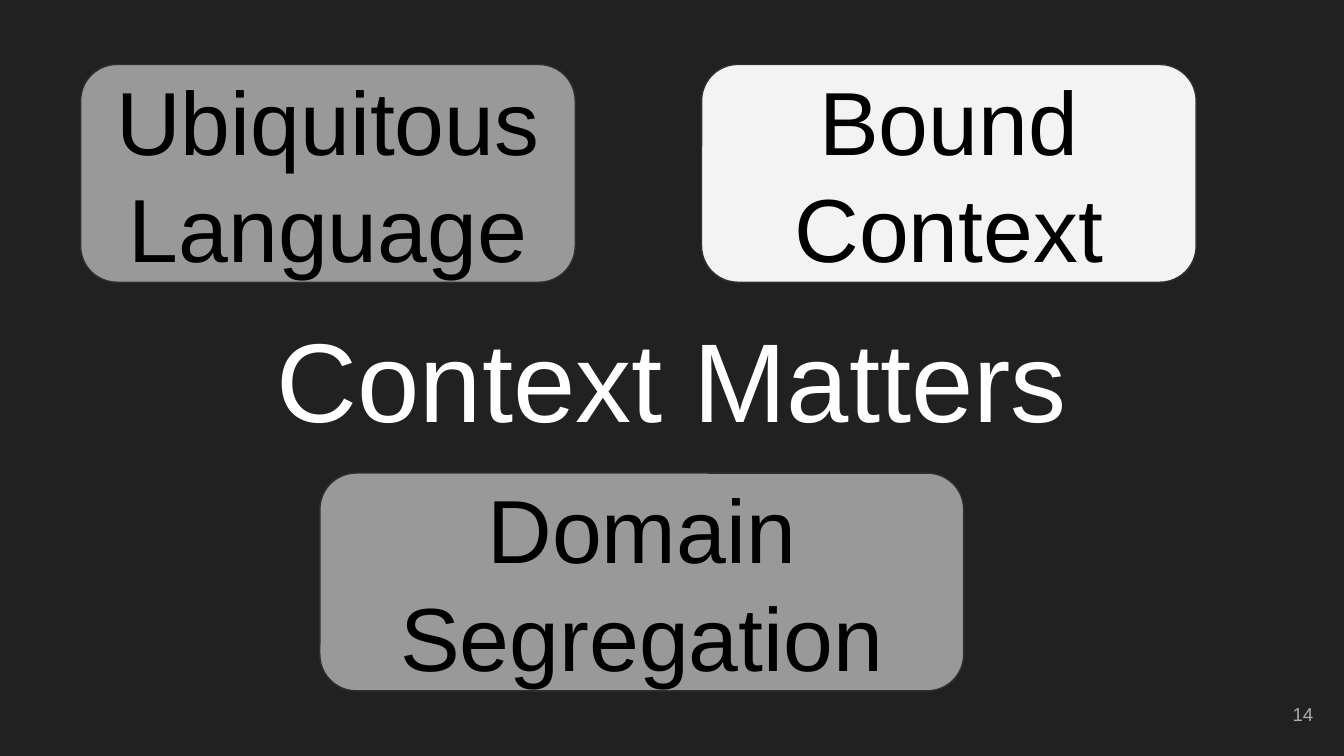
from dataclasses import dataclass

from pptx import Presentation
from pptx.dml.color import RGBColor
from pptx.enum.shapes import MSO_SHAPE as Shape
from pptx.enum.text import MSO_ANCHOR as Anchor, PP_ALIGN as Align
from pptx.util import Pt


@dataclass(frozen=True)
class Theme:
    font: str = "Arial"
    background: str = "212121"
    title_color: str = "FFFFFF"
    card_text: str = "000000"
    card_line: str = "303030"
    muted: str = "999999"
    highlight: str = "F3F3F3"
    number_color: str = "ADADAD"
    title_size: int = 60
    card_size: int = 48
    number_size: int = 10
    inset: float = 7.2


THEME = Theme()
CARD_HEIGHT = 116.64
TOP_ROW = 34.56


def rgb(value):
    return RGBColor.from_string(value)


def write_text(shape, text, size, color, align=Align.CENTER):
    frame = shape.text_frame
    frame.word_wrap = True
    frame.vertical_anchor = Anchor.MIDDLE
    frame.margin_left = frame.margin_right = Pt(THEME.inset)
    frame.margin_top = frame.margin_bottom = Pt(THEME.inset)
    paragraph = frame.paragraphs[0]
    paragraph.alignment = align
    run = paragraph.add_run()
    run.text = text
    run.font.name = THEME.font
    run.font.size = Pt(size)
    run.font.color.rgb = rgb(color)


def set_title(slide, text):
    title = slide.shapes.title
    title.left, title.top = Pt(24.48), Pt(169.2)
    title.width, title.height = Pt(671.04), Pt(66.24)
    write_text(title, text, THEME.title_size, THEME.title_color)


def add_card(slide, text, left, top, width, fill):
    card = slide.shapes.add_shape(
        Shape.ROUNDED_RECTANGLE, Pt(left), Pt(top), Pt(width), Pt(CARD_HEIGHT)
    )
    card.shadow.inherit = False
    card.fill.solid()
    card.fill.fore_color.rgb = rgb(fill)
    card.line.color.rgb = rgb(THEME.card_line)
    card.line.width = Pt(0.75)
    write_text(card, text, THEME.card_size, THEME.card_text)


def add_page_number(slide, text):
    box = slide.shapes.add_textbox(Pt(667.44), Pt(367.2), Pt(43.2), Pt(30.96))
    write_text(box, text, THEME.number_size, THEME.number_color, Align.RIGHT)


def main():
    presentation = Presentation()
    presentation.slide_width, presentation.slide_height = Pt(720), Pt(405)
    slide = presentation.slides.add_slide(presentation.slide_layouts[5])
    slide.background.fill.solid()
    slide.background.fill.fore_color.rgb = rgb(THEME.background)

    set_title(slide, "Context Matters")
    add_card(slide, "Domain Segregation", 171.36, 253.44, 344.88, THEME.muted)
    add_card(slide, "Ubiquitous Language", 43.2, TOP_ROW, 264.96, THEME.muted)
    add_card(slide, "Bound Context", 375.84, TOP_ROW, 264.96, THEME.highlight)
    add_page_number(slide, "14")

    presentation.save("out.pptx")


if __name__ == "__main__":
    main()
